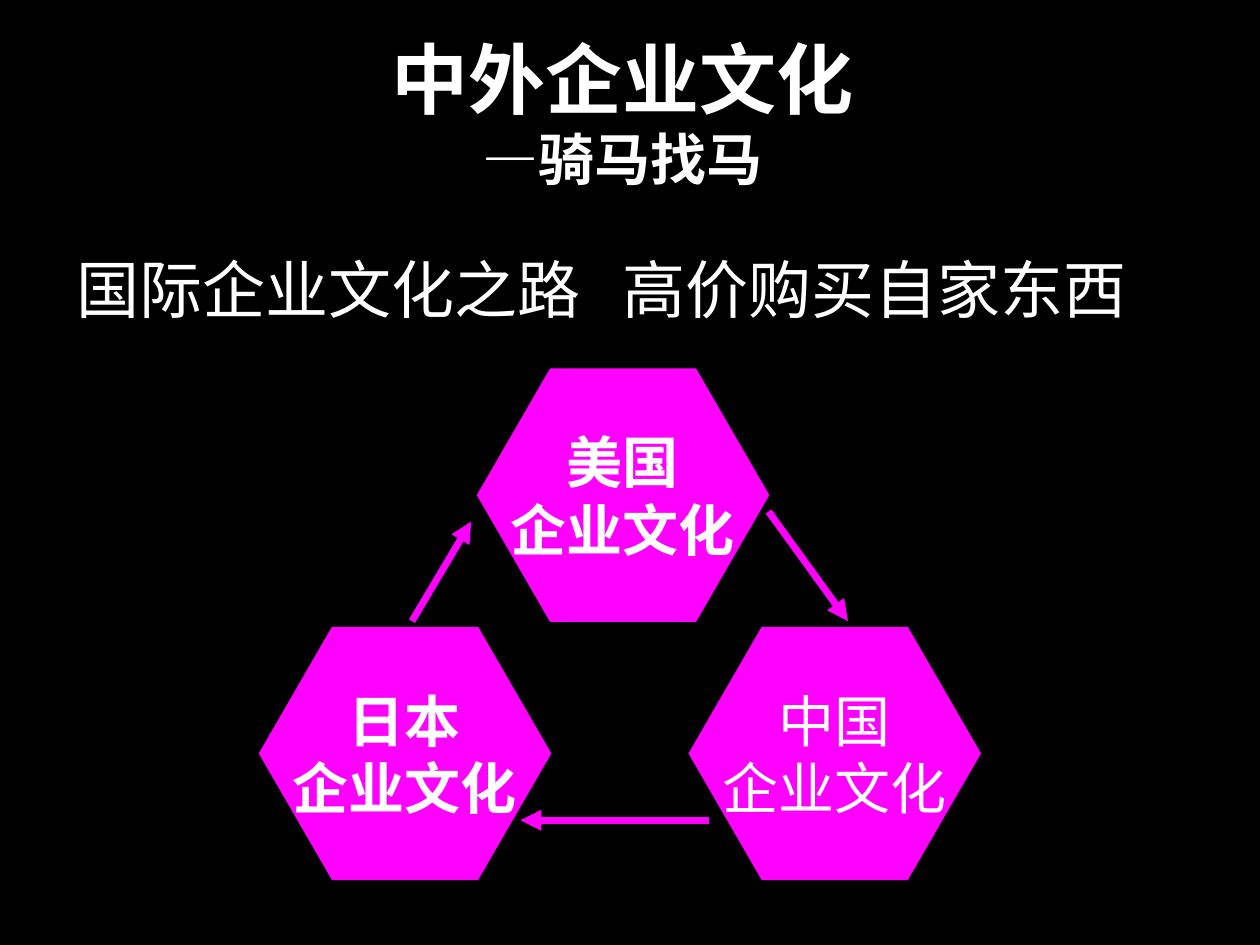
"""Build a slide on Chinese and foreign corporate culture with a three-hexagon cycle."""
from dataclasses import dataclass

from lxml import etree
from pptx import Presentation
from pptx.dml.color import RGBColor
from pptx.enum.shapes import MSO_CONNECTOR, MSO_SHAPE
from pptx.enum.text import MSO_ANCHOR, MSO_AUTO_SIZE, PP_ALIGN
from pptx.oxml.ns import qn
from pptx.util import Inches, Pt

HEXAGON = MSO_SHAPE.HEXAGON
STRAIGHT = MSO_CONNECTOR.STRAIGHT
MIDDLE = MSO_ANCHOR.MIDDLE
NO_AUTOFIT = MSO_AUTO_SIZE.NONE
CENTER = PP_ALIGN.CENTER
LEFT = PP_ALIGN.LEFT


@dataclass(frozen=True)
class Theme:
    background: RGBColor = RGBColor(0x00, 0x00, 0x00)
    text: RGBColor = RGBColor(0xFF, 0xFF, 0xFF)
    accent: RGBColor = RGBColor(0xFF, 0x00, 0xFF)
    latin_font: str = "Arial"
    body_font: str = "Noto Sans CJK JP"
    title_size: int = 44
    body_size: int = 36
    label_size: int = 32


theme = Theme()


def add_text(paragraph, text, size=theme.label_size, font=theme.latin_font, bold=True, align=CENTER):
    paragraph.alignment = align
    run = paragraph.add_run()
    run.text = text
    run.font.size = Pt(size)
    run.font.name = font
    run.font.bold = bold
    run.font.color.rgb = theme.text


presentation = Presentation()
presentation.slide_width = Inches(10)
presentation.slide_height = Inches(7.5)
slide = presentation.slides.add_slide(presentation.slide_layouts[5])
slide.background.fill.solid()
slide.background.fill.fore_color.rgb = theme.background

title = slide.shapes.title
title.left, title.top, title.width, title.height = (Inches(value) for value in (0.27, 0, 9.34, 1.77))
title.text_frame.vertical_anchor = MIDDLE
title.text_frame.auto_size = NO_AUTOFIT
title_paragraph = title.text_frame.paragraphs[0]
add_text(title_paragraph, "中外企业文化", size=theme.title_size)
title_paragraph.add_line_break()
add_text(title_paragraph, "—骑马找马")

statement = slide.shapes.add_textbox(Inches(0.51), Inches(1.94), Inches(9.07), Inches(0.9))
statement.text_frame.word_wrap = True
statement_paragraph = statement.text_frame.paragraphs[0]
tab_list = etree.SubElement(statement_paragraph._p.get_or_add_pPr(), qn("a:tabLst"))
etree.SubElement(tab_list, qn("a:tab"), pos=str(Inches(4.33)), algn="l")
add_text(statement_paragraph, "国际企业文化之路\t高价购买自家东西",
         size=theme.body_size, font=theme.body_font, bold=False, align=LEFT)

cultures = [("美国", 3.79, 2.93, True), ("日本", 2.06, 4.98, True), ("中国", 5.47, 4.98, False)]
for country, left, top, bold in cultures:
    hexagon = slide.shapes.add_shape(HEXAGON, Inches(left), Inches(top), Inches(2.31), Inches(2))
    hexagon.adjustments[0] = 0.289
    hexagon.adjustments[1] = 1.155
    hexagon.shadow.inherit = False
    hexagon.fill.solid()
    hexagon.fill.fore_color.rgb = theme.accent
    hexagon.line.color.rgb = theme.accent
    hexagon.line.width = Pt(0.75)
    frame = hexagon.text_frame
    frame.word_wrap = False
    frame.vertical_anchor = MIDDLE
    frame.margin_left = frame.margin_right = Inches(0.2)
    frame.margin_top = frame.margin_bottom = Inches(0.1)
    add_text(frame.paragraphs[0], country, bold=bold)
    add_text(frame.add_paragraph(), "企业文化", bold=bold)

arrows = [(3.27, 4.93, 3.74, 4.14), (5.63, 6.51, 4.13, 6.51), (6.1, 4.06, 6.73, 4.93)]
for ends in arrows:
    arrow = slide.shapes.add_connector(STRAIGHT, *(Inches(value) for value in ends))
    arrow.line.color.rgb = theme.accent
    arrow.line.width = Pt(4)
    etree.SubElement(arrow.line._get_or_add_ln(), qn("a:tailEnd"), type="triangle")
    etree.SubElement(arrow._element.spPr, qn("a:effectLst"))

presentation.save("out.pptx")
